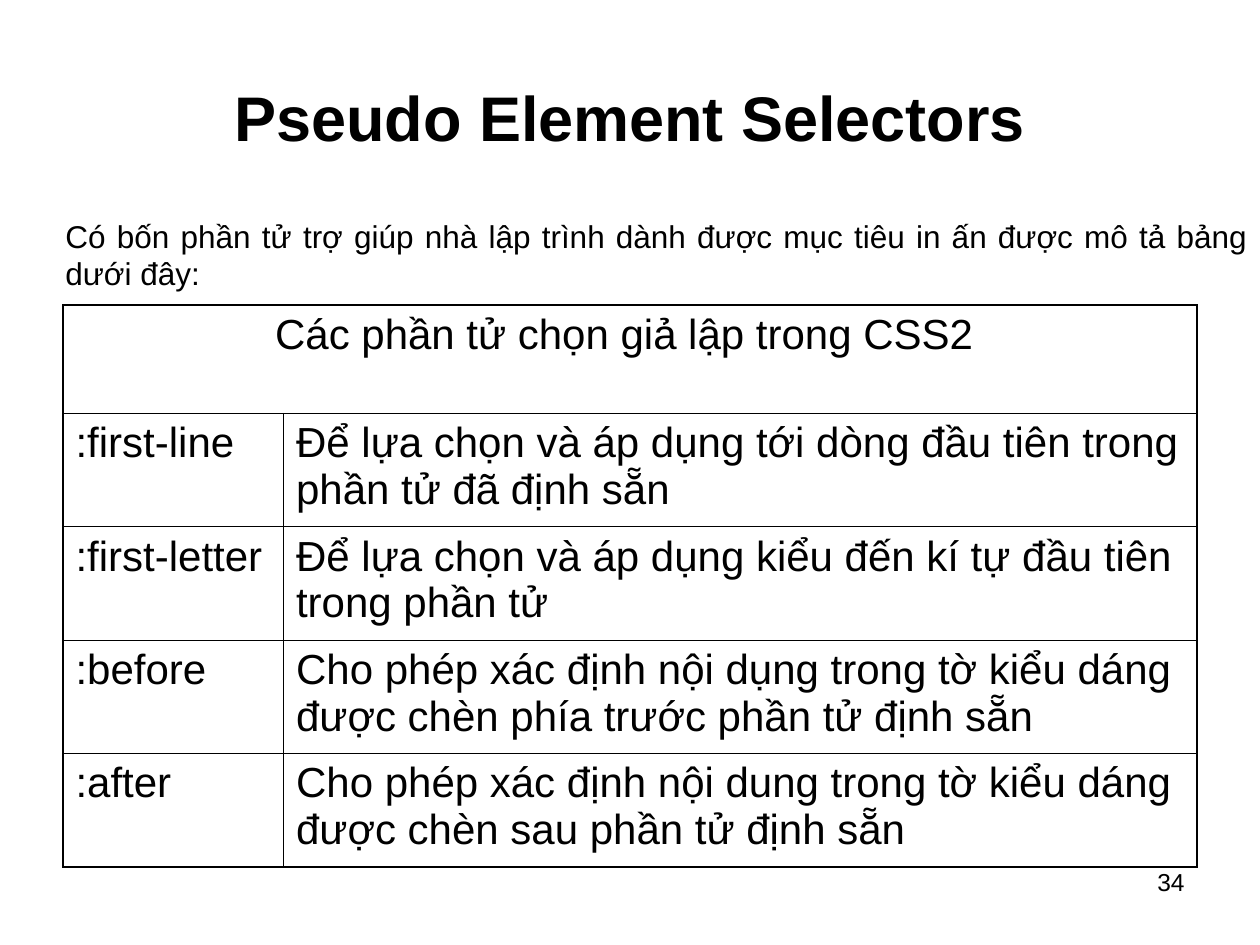
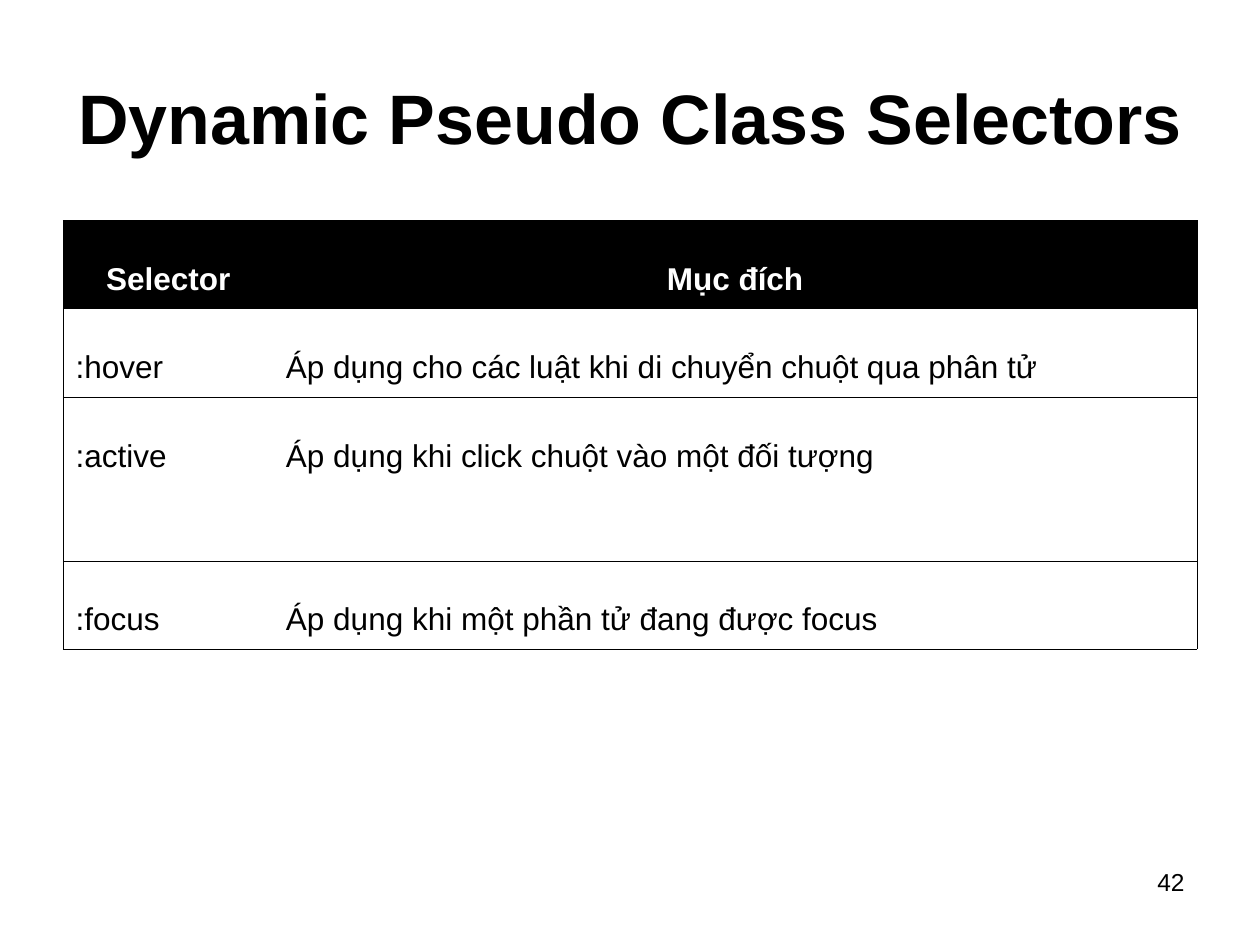
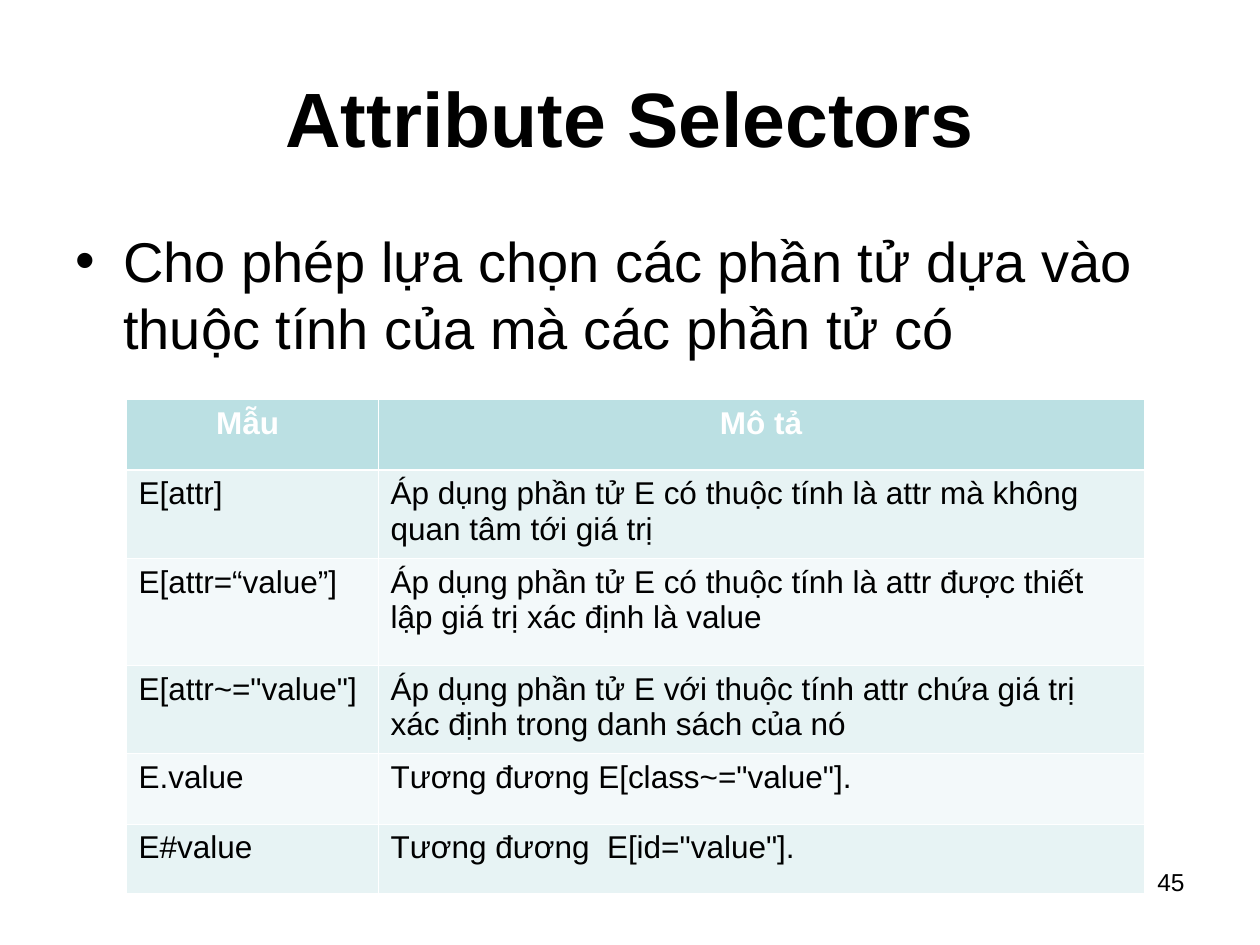
from dataclasses import dataclass
from typing import Optional

from lxml import etree
from pptx import Presentation
from pptx.dml.color import RGBColor
from pptx.enum.text import MSO_ANCHOR, PP_ALIGN
from pptx.oxml.ns import qn
from pptx.util import Inches, Pt

FONT = "Arial"
BLACK = RGBColor(0x00, 0x00, 0x00)
WHITE = RGBColor(0xFF, 0xFF, 0xFF)
HEADER_TEAL = RGBColor(0xBB, 0xE0, 0xE3)
BANDS = (RGBColor(0xE7, 0xF3, 0xF4), RGBColor(0xF3, 0xF9, 0xFA))

LEFT, CENTER = PP_ALIGN.LEFT, PP_ALIGN.CENTER
RIGHT, JUSTIFY = PP_ALIGN.RIGHT, PP_ALIGN.JUSTIFY
TOP, MIDDLE = MSO_ANCHOR.TOP, MSO_ANCHOR.MIDDLE

PSEUDO_ELEMENTS = [
    ("Các phần tử chọn giả lập trong CSS2 ", ""),
    (":first-line", "Để lựa chọn và áp dụng tới dòng đầu tiên trong phần tử đã định sẵn"),
    (":first-letter", "Để lựa chọn và áp dụng kiểu đến kí tự đầu tiên trong phần tử"),
    (":before", "Cho phép xác định nội dụng trong tờ kiểu dáng được chèn phía trước phần tử định sẵn"),
    (":after", "Cho phép xác định nội dung trong tờ kiểu dáng được chèn sau phần tử định sẵn"),
]
DYNAMIC_CLASSES = [
    ("Selector", "Mục đích"),
    (":hover", "Áp dụng cho các luật khi di chuyển chuột qua phân tử"),
    (":active", "Áp dụng khi click chuột vào một đối tượng"),
    (":focus", "Áp dụng khi một phần tử đang được focus"),
]
ATTRIBUTE_PATTERNS = [
    ("Mẫu ", "Mô tả"),
    ("E[attr]", "Áp dụng phần tử E có thuộc tính là attr mà không quan tâm tới giá trị"),
    ("E[attr=“value”]", "Áp dụng phần tử E có thuộc tính là attr được thiết lập giá trị xác định là value"),
    ('E[attr~="value"]', "Áp dụng phần tử E với thuộc tính attr chứa giá trị xác định trong danh sách của nó"),
    ("E.value", 'Tương đương E[class~="value"].'),
    ("E#value", 'Tương đương  E[id="value"].'),
]


@dataclass
class TableStyle:
    """Look of a table; rule widths are in points and 0 means no rule."""
    outer: float
    row_rule: float
    column_rule: float
    header_rule: float
    size: int = 18
    line_color: RGBColor = BLACK
    header_fill: Optional[RGBColor] = None
    header_color: RGBColor = WHITE
    header_bold: bool = True
    bands: tuple = ()
    space_before: int = 0
    line_spacing: float = 1.0


PLAIN_GRID = TableStyle(1.08, 0.45, 0.45, 0.45, size=24, header_color=BLACK,
                        header_bold=False, space_before=6)
BLACK_HEADER = TableStyle(0.34, 0.34, 0, 0.34, header_fill=BLACK, line_spacing=2.0)
TEAL_BANDS = TableStyle(0.45, 0.45, 0.45, 1.47, line_color=WHITE,
                        header_fill=HEADER_TEAL, bands=BANDS)


def write(paragraph, text, size, color=BLACK, bold=False, align=LEFT):
    paragraph.alignment = align
    run = paragraph.add_run()
    run.text = text
    font = run.font
    font.name, font.size, font.bold = FONT, Pt(size), bold
    font.color.rgb = color


def add_text(slide, box, text, size, bold=False, align=LEFT, anchor=TOP):
    shape = slide.shapes.add_textbox(*map(Inches, box))
    frame = shape.text_frame
    frame.word_wrap = True
    frame.vertical_anchor = anchor
    paragraph = frame.paragraphs[0]
    write(paragraph, text, size, bold=bold, align=align)
    return paragraph


def add_bullet(paragraph, indent):
    properties = paragraph._p.get_or_add_pPr()
    properties.set("marL", str(Inches(indent)))
    properties.set("indent", str(-Inches(indent)))
    etree.SubElement(properties, qn("a:buFont"), typeface=FONT)
    etree.SubElement(properties, qn("a:buChar"), char="•")


def add_border(cell, side, width, color):
    line = etree.SubElement(cell._tc.get_or_add_tcPr(), qn(f"a:ln{side}"), w=str(Pt(width)))
    if not width:
        etree.SubElement(line, qn("a:noFill"))
        return
    fill = etree.SubElement(line, qn("a:solidFill"))
    etree.SubElement(fill, qn("a:srgbClr"), val=str(color))


def row_rule_width(style, edge, row_count):
    """Width of the horizontal rule above row number `edge`."""
    if edge in (0, row_count):
        return style.outer
    return style.header_rule if edge == 1 else style.row_rule


def column_rule_width(style, edge, column_count):
    return style.outer if edge in (0, column_count) else style.column_rule


def style_cell(cell, row, column, row_count, column_count, style):
    widths = {
        "L": column_rule_width(style, column, column_count),
        "R": column_rule_width(style, column + cell.span_width, column_count),
        "T": row_rule_width(style, row, row_count),
        "B": row_rule_width(style, row + 1, row_count),
    }
    for side, width in widths.items():
        add_border(cell, side, width, style.line_color)

    if row == 0:
        fill = style.header_fill
    else:
        fill = style.bands[(row - 1) % len(style.bands)] if style.bands else None
    if fill is None:
        cell.fill.background()
    else:
        cell.fill.solid()
        cell.fill.fore_color.rgb = fill


def add_table(slide, left, top, column_widths, row_heights, rows, style, merge_header=False):
    row_count, column_count = len(rows), len(column_widths)
    box = (left, top, sum(column_widths), sum(row_heights))
    table = slide.shapes.add_table(row_count, column_count, *map(Inches, box)).table
    table.first_row = table.horz_banding = False
    for column, width in zip(table.columns, column_widths):
        column.width = Inches(width)
    for row, height in zip(table.rows, row_heights):
        row.height = Inches(height)
    if merge_header:
        table.cell(0, 0).merge(table.cell(0, column_count - 1))

    for row, texts in enumerate(rows):
        header = row == 0
        for column, text in enumerate(texts):
            cell = table.cell(row, column)
            if cell.is_spanned:
                continue
            paragraph = cell.text_frame.paragraphs[0]
            paragraph.space_before = Pt(style.space_before)
            paragraph.line_spacing = style.line_spacing
            write(paragraph, text, style.size,
                  color=style.header_color if header else BLACK,
                  bold=header and style.header_bold,
                  align=CENTER if header else LEFT)
            style_cell(cell, row, column, row_count, column_count, style)


def add_slide(presentation, title, title_size, number):
    """Add a blank slide with the shared title and page number."""
    slide = presentation.slides.add_slide(presentation.slide_layouts[6])
    add_text(slide, (7.17, 6.83, 2.33, 0.52), str(number), 14, align=RIGHT)
    add_text(slide, (0.5, 0.3, 9, 1.25), title, title_size, bold=True,
             align=CENTER, anchor=MIDDLE)
    return slide


def main():
    presentation = Presentation()
    presentation.slide_width, presentation.slide_height = Inches(10), Inches(7.5)

    slide = add_slide(presentation, "Pseudo Element Selectors", 36, 34)
    add_table(slide, 0.5, 2.42, (1.75, 7.25), [0.86] + [0.9] * 4,
              PSEUDO_ELEMENTS, PLAIN_GRID, merge_header=True)
    add_text(slide, (0.42, 1.67, 9.58, 0.7),
             "Có bốn phần tử trợ giúp nhà lập trình dành được mục tiêu in ấn "
             "được mô tả bảng dưới đây:", 18, align=JUSTIFY, anchor=MIDDLE)

    slide = add_slide(presentation, "Dynamic Pseudo Class Selectors", 40, 42)
    add_table(slide, 0.5, 1.75, (1.67, 7.33), (0.7, 0.7, 1.3, 0.7),
              DYNAMIC_CLASSES, BLACK_HEADER)

    slide = add_slide(presentation, "Attribute Selectors", 44, 45)
    paragraph = add_text(slide, (0.5, 1.75, 9, 4.95),
                         "Cho phép lựa chọn các phần tử dựa vào thuộc tính của mà "
                         "các phần tử có", 32)
    paragraph.space_before = Pt(8)
    add_bullet(paragraph, 0.38)
    add_table(slide, 1, 3.17, (2, 6.08), (0.56, 0.7, 0.85, 0.7, 0.56, 0.55),
              ATTRIBUTE_PATTERNS, TEAL_BANDS)

    presentation.save("out.pptx")


if __name__ == "__main__":
    main()
